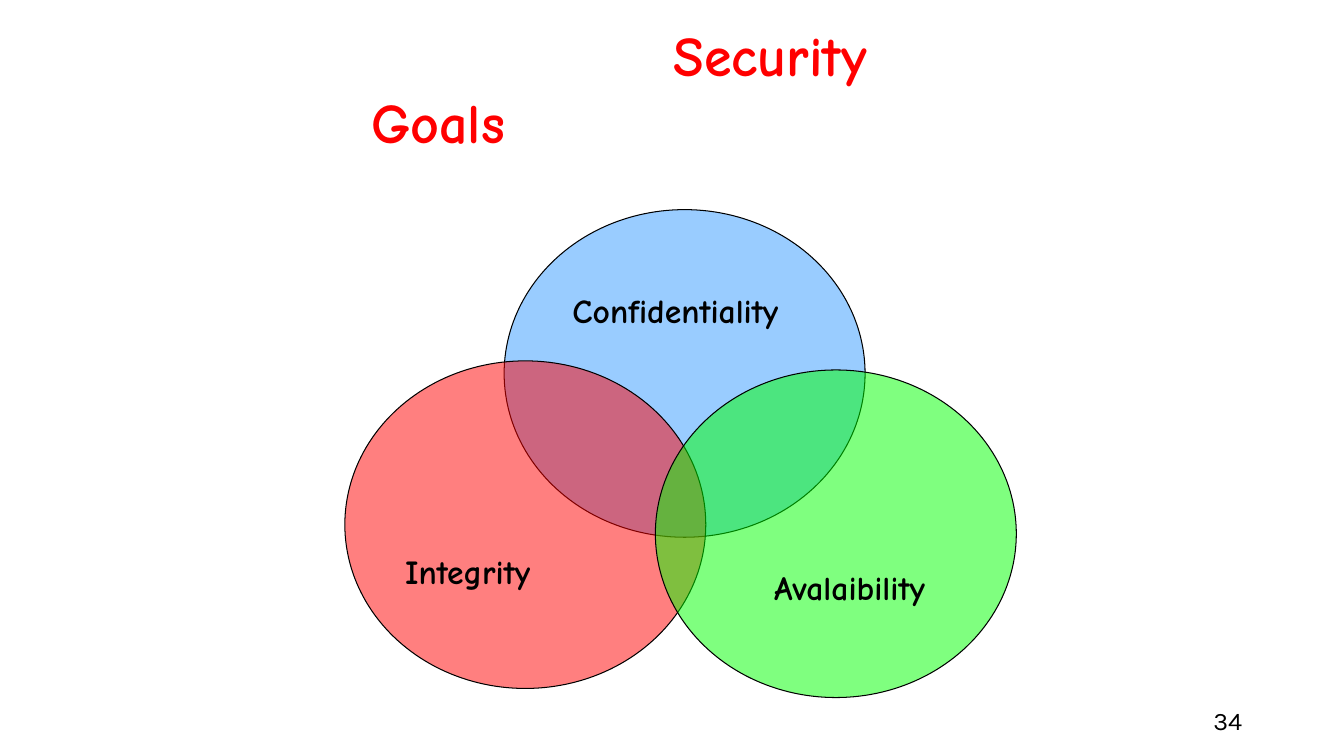
from lxml import etree
from pptx import Presentation
from pptx import util as u
from pptx.dml.color import RGBColor
from pptx.enum import shapes, text
from pptx.oxml.ns import qn

FONT = "Comic Neue"
CIRCLE_W, CIRCLE_H = 3.58, 3.25
# label, circle left and top, fill, opacity in %, label box relative to the circle
GOALS = [
    ("Confidentiality", 5, 2.08, "99CCFF", 100, (0.58, 0.75, 2.67)),
    ("Integrity", 3.42, 3.58, "FF0000", 50, (0.5, 1.84, 2.17)),
    ("Avalaibility", 6.5, 3.67, "00FF00", 50, (1.08, 1.91, 2.25)),
]


def rgb(color):
    return RGBColor.from_string(color)


def write(sp, words, size, color="000000", font=FONT, bold=True,
          align=text.PP_ALIGN.LEFT, anchor=text.MSO_ANCHOR.TOP):
    tf = sp.text_frame
    tf.text = words
    tf.word_wrap = True
    tf.auto_size = text.MSO_AUTO_SIZE.NONE
    tf.vertical_anchor = anchor
    p = tf.paragraphs[0]
    p.alignment = align
    f = p.runs[0].font
    f.name, f.size, f.bold = font, u.Pt(size), bold
    f.color.rgb = rgb(color)
    return p


def add_title(s, x, y, w, h):
    """Place the title with its first line indented, so that it breaks in two."""
    sp = s.shapes.title
    sp.left, sp.top, sp.width, sp.height = map(u.Inches, (x, y, w, h))
    p = write(sp, "Security Goals", 40, "FF0000", anchor=text.MSO_ANCHOR.MIDDLE)
    pPr = p._p.get_or_add_pPr()
    pPr.set("marL", "0")
    pPr.set("indent", str(u.Inches(3)))


def add_circle(s, x, y, color, opacity):
    sp = s.shapes.add_shape(shapes.MSO_SHAPE.OVAL, *map(u.Inches, (x, y, CIRCLE_W, CIRCLE_H)))
    sp.shadow.inherit = False
    sp.fill.solid()
    sp.fill.fore_color.rgb = rgb(color)
    sp.line.color.rgb = rgb("000000")
    sp.line.width = u.Pt(0.75)
    if opacity < 100:
        clr = sp._element.spPr.find(qn("a:solidFill")).find(qn("a:srgbClr"))
        etree.SubElement(clr, qn("a:alpha")).set("val", str(opacity * 1000))


def add_venn(s):
    for _, x, y, color, opacity, _ in GOALS:
        add_circle(s, x, y, color, opacity)
    for label, x, y, _, _, (dx, dy, w) in GOALS:
        box = s.shapes.add_textbox(*map(u.Inches, (x + dx, y + dy, w, 0.5)))
        write(box, label, 24)


def add_page_number(s, x, y, w, h):
    box = s.shapes.add_textbox(*map(u.Inches, (x, y, w, h)))
    write(box, "34", 18, font="Karla", bold=False,
          align=text.PP_ALIGN.RIGHT, anchor=text.MSO_ANCHOR.MIDDLE)


def main():
    prs = Presentation()
    prs.slide_width, prs.slide_height = u.Inches(13.33), u.Inches(7.5)
    s = prs.slides.add_slide(prs.slide_layouts[5])
    add_title(s, 3.58, 0.58, 5.17, 0.58)
    add_venn(s)
    add_page_number(s, 9.42, 6.95, 3, 0.4)
    prs.save("out.pptx")


if __name__ == "__main__":
    main()
